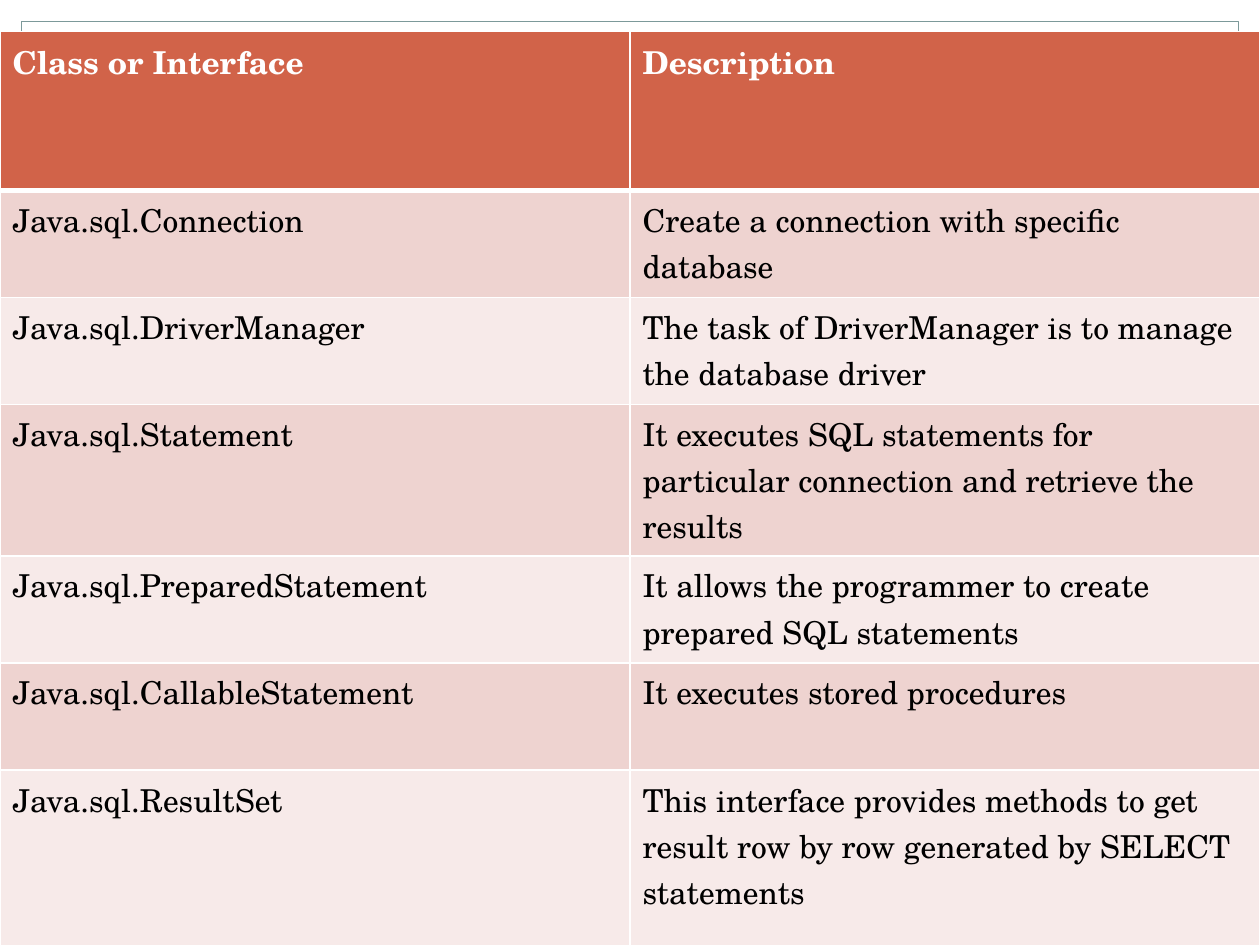
from lxml import etree
from pptx import Presentation
from pptx import util as u
from pptx.dml.color import RGBColor
from pptx.enum import dml, shapes
from pptx.oxml.ns import qn

HEADINGS = ("Class or Interface", "Description")
CLASSES = [
    ("Java.sql.Connection", "Create a connection with specific database"),
    ("Java.sql.DriverManager",
     "The task of DriverManager is to manage the database driver"),
    ("Java.sql.Statement",
     "It executes SQL statements for particular connection and retrieve the results"),
    ("Java.sql.PreparedStatement",
     "It allows the programmer to create prepared SQL statements"),
    ("Java.sql.CallableStatement", "It executes stored procedures"),
    ("Java.sql.ResultSet",
     "This interface provides methods to get result row by row generated by SELECT statements"),
]

THEME = {
    "font": "TeX Gyre Schola", "size": 18,
    "background": "C5D1D7", "band": "FFFFFF", "frame": "7C999A", "footer": "8CADAE",
    "header": "D16349", "stripes": ("EED3D0", "F7EAE9"),
    "header_text": "FFFFFF", "body_text": "000000", "border": "FFFFFF",
    "thin": 0.75, "ring": 4,
}
WIDTH, HEIGHT = 10, 7.5
MARGIN = 0.17
TITLE_BAND = 1.52
FOOTER_HEIGHT = 0.34
DIVIDER_TOP = 1.4
RING_CENTER = (5, 1.38)
TABLE_TOP = 0.25
ROW_HEIGHTS = (1.26, 0.85, 0.85, 1.2, 0.85, 0.85, 1.41)


def color(name):
    return RGBColor.from_string(name)


def add_box(page, kind, left, top, width, height, fill=None, line=None, weight=THEME["thin"]):
    box = page.shapes.add_shape(kind, *map(u.Inches, (left, top, width, height)))
    box.shadow.inherit = False
    for part, shade in ((box.fill, fill), (box.line.fill, line)):
        if shade:
            part.solid()
            part.fore_color.rgb = color(shade)
        else:
            part.background()
    if line:
        box.line.width = u.Pt(weight)


def add_circle(page, diameter, **style):
    left, top = (center - diameter / 2 for center in RING_CENTER)
    add_box(page, shapes.MSO_SHAPE.OVAL, left, top, diameter, diameter, **style)


def add_divider(page):
    ends = (MARGIN, DIVIDER_TOP, WIDTH - MARGIN, DIVIDER_TOP)
    divider = page.shapes.add_connector(shapes.MSO_CONNECTOR.STRAIGHT, *map(u.Inches, ends))
    divider.line.color.rgb = color(THEME["frame"])
    divider.line.width = u.Pt(THEME["thin"])
    divider.line.dash_style = dml.MSO_LINE.SQUARE_DOT
    etree.SubElement(divider._element.spPr, qn("a:effectLst"))


def add_backdrop(page):
    page.background.fill.solid()
    page.background.fill.fore_color.rgb = color(THEME["background"])
    rectangle = shapes.MSO_SHAPE.RECTANGLE
    inner_width, inner_bottom = WIDTH - 2 * MARGIN, HEIGHT - MARGIN
    bands = [
        (0, inner_bottom, WIDTH, MARGIN),
        (0, 0, WIDTH, TITLE_BAND),
        (0, 0, MARGIN, HEIGHT),
        (WIDTH - MARGIN, 0, MARGIN, HEIGHT),
    ]
    for band in bands:
        add_box(page, rectangle, *band, fill=THEME["band"])
    add_box(page, rectangle, MARGIN, inner_bottom - FOOTER_HEIGHT, inner_width,
            FOOTER_HEIGHT, fill=THEME["footer"])
    add_box(page, rectangle, MARGIN, MARGIN, inner_width, HEIGHT - 2 * MARGIN,
            line=THEME["frame"])
    add_divider(page)
    add_circle(page, 0.67, fill=THEME["band"])
    add_circle(page, 0.46, fill=THEME["band"], line=THEME["frame"], weight=THEME["ring"])


def set_borders(cell, bottom, top):
    """Draw the four cell edges; they must come before the fill in tcPr."""
    properties = cell._tc.get_or_add_tcPr()
    widths = {"lnL": 1, "lnR": 1, "lnT": top, "lnB": bottom}
    for position, (edge, width) in enumerate(widths.items()):
        line = etree.Element(qn(f"a:{edge}"), w=str(u.Pt(width)))
        fill = etree.SubElement(line, qn("a:solidFill"))
        etree.SubElement(fill, qn("a:srgbClr"), val=THEME["border"])
        properties.insert(position, line)


def fill_cell(cell, words, row):
    header = row == 0
    cell.fill.solid()
    cell.fill.fore_color.rgb = color(
        THEME["header"] if header else THEME["stripes"][(row - 1) % 2])
    set_borders(cell, bottom=3 if header else 1, top=3 if row == 1 else 1)
    span = cell.text_frame.paragraphs[0].add_run()
    span.text = words
    font_format = {"name": THEME["font"], "size": u.Pt(THEME["size"]), "bold": header}
    for name, value in font_format.items():
        setattr(span.font, name, value)
    span.font.color.rgb = color(THEME["header_text" if header else "body_text"])


def add_class_table(page):
    rows = [HEADINGS, *CLASSES]
    table = page.shapes.add_table(
        len(rows), len(HEADINGS), 0, u.Inches(TABLE_TOP),
        u.Inches(WIDTH), u.Inches(sum(ROW_HEIGHTS))).table
    for column in table.columns:
        column.width = u.Inches(WIDTH / len(HEADINGS))
    for row, (height, texts) in enumerate(zip(ROW_HEIGHTS, rows)):
        table.rows[row].height = u.Inches(height)
        for column, words in enumerate(texts):
            fill_cell(table.cell(row, column), words, row)


def main():
    deck = Presentation()
    deck.slide_width, deck.slide_height = u.Inches(WIDTH), u.Inches(HEIGHT)
    page = deck.slides.add_slide(deck.slide_layouts[6])
    add_backdrop(page)
    add_class_table(page)
    deck.save("out.pptx")


if __name__ == "__main__":
    main()
